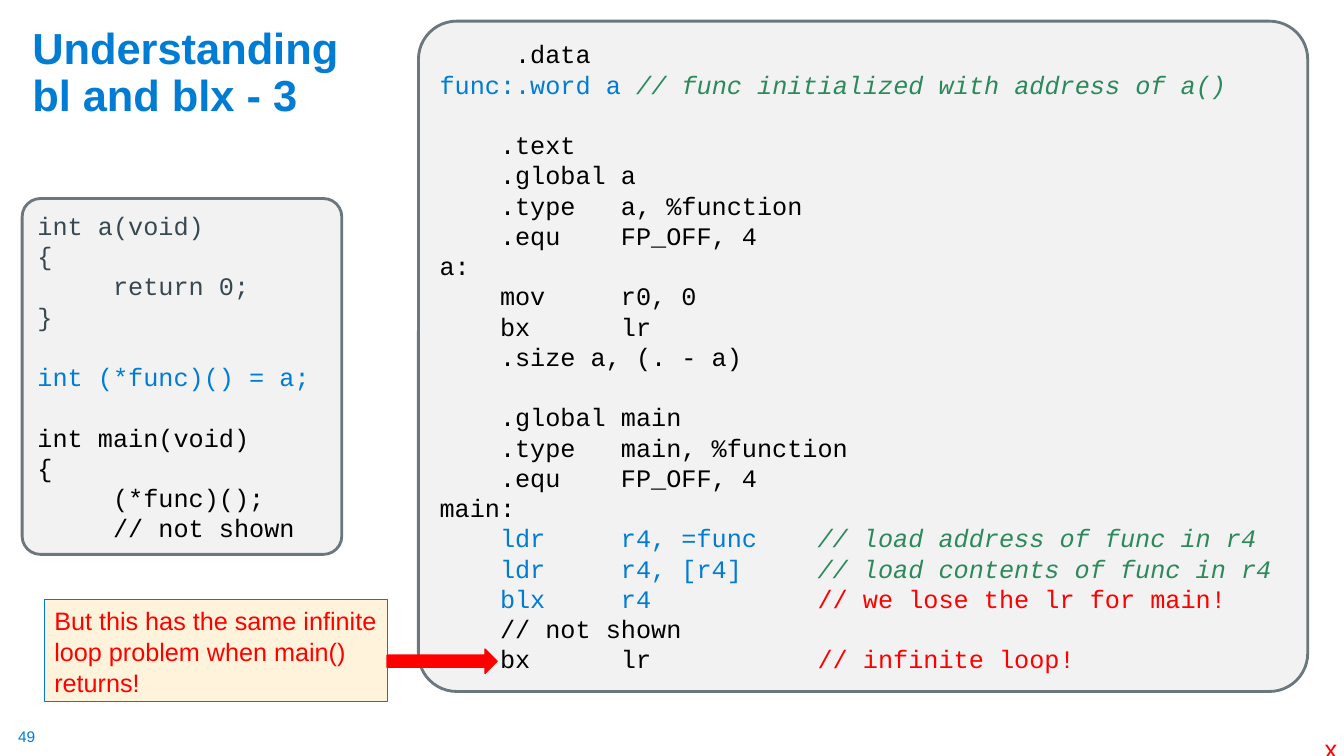
import dataclasses

import lxml.etree
import pptx
import pptx.dml.color
import pptx.enum.shapes
import pptx.enum.text
import pptx.oxml.ns
import pptx.util

Inches = pptx.util.Inches
Pt = pptx.util.Pt
SHAPE = pptx.enum.shapes.MSO_SHAPE
ANCHOR = pptx.enum.text.MSO_ANCHOR
ALIGN = pptx.enum.text.PP_ALIGN


@dataclasses.dataclass(frozen=True)
class Theme:
    blue: str = "007CD5"
    slate: str = "384851"
    black: str = "000000"
    green: str = "2C895B"
    red: str = "FF0000"
    panel: str = "F2F2F2"
    border: str = "6B767D"
    cream: str = "FFF4DB"
    sans: str = "Arial"
    mono: str = "Courier New"
    title_size: float = 31
    body_size: float = 18
    number_size: float = 11
    title_leading: float = 33.6
    code_leading: float = 21.6
    callout_leading: float = 22.1


THEME = Theme()

# Code lines are lists of (text, colour); None leaves a one-line gap
C_TABS = (0.75,)
C_CODE = [
    [("int a(void)", THEME.slate)],
    [("{", THEME.slate)],
    [("\treturn 0;", THEME.slate)],
    [("}", THEME.slate)],
    None,
    [("int (*func)() = a;", THEME.blue)],
    None,
    [("int main(void)", THEME.black)],
    [("{", THEME.black)],
    [("\t(*func)();", THEME.black)],
    [("\t// not shown", THEME.black)],
]

ASM_TABS = (0.6, 1.8, 3.75)
ASM_CODE = [
    [("\t.data", THEME.black)],
    [("func:.word a ", THEME.blue),
     ("// func initialized with address of a()", THEME.green)],
    None,
    [("\t.text", THEME.black)],
    [("\t.global a", THEME.black)],
    [("\t.type\ta, %function", THEME.black)],
    [("\t.equ\tFP_OFF, 4", THEME.black)],
    [("a:", THEME.black)],
    [("\tmov\tr0, 0", THEME.black)],
    [("\tbx\tlr", THEME.black)],
    [("\t.size a, (. - a)", THEME.black)],
    None,
    [("\t.global main", THEME.black)],
    [("\t.type\tmain, %function", THEME.black)],
    [("\t.equ\tFP_OFF, 4", THEME.black)],
    [("main:", THEME.black)],
    [("\tldr\tr4, =func\t", THEME.blue),
     ("// load address of func in r4", THEME.green)],
    [("\tldr\tr4, [r4]\t", THEME.blue),
     ("// load contents of func in r4", THEME.green)],
    [("\tblx\tr4\t", THEME.blue),
     ("// we lose the lr for main!", THEME.red)],
    [("\t// not shown", THEME.black)],
    [("\tbx\tlr\t", THEME.black), ("// infinite loop!", THEME.red)],
]


def apply(obj, values):
    for name, value in values.items():
        setattr(obj, name, value)


def rgb(color):
    return pptx.dml.color.RGBColor.from_string(color)


def place(sp, box):
    names = ("left", "top", "width", "height")
    apply(sp, {name: Inches(v) for name, v in zip(names, box)})


def add_run(p, text, color, **font):
    r = p.add_run()
    r.text = text
    values = {"size": Pt(THEME.body_size), "name": THEME.sans, "bold": False, "italic": False}
    apply(r.font, {**values, **font})
    r.font.color.rgb = rgb(color)


def set_tabs(p, stops):
    pPr = p._p.get_or_add_pPr()
    tabs = lxml.etree.SubElement(pPr, pptx.oxml.ns.qn("a:tabLst"))
    for stop in stops:
        tab = lxml.etree.SubElement(tabs, pptx.oxml.ns.qn("a:tab"))
        tab.set("pos", str(Inches(stop)))
        tab.set("algn", "l")


def add_box(s, kind, box, fill, line, width):
    sp = s.shapes.add_shape(kind, *map(Inches, box))
    sp.shadow.inherit = False
    sp.fill.solid()
    sp.fill.fore_color.rgb = rgb(fill)
    sp.line.color.rgb = rgb(line)
    sp.line.width = Pt(width)
    apply(sp.text_frame, {"word_wrap": True, "vertical_anchor": ANCHOR.MIDDLE})
    return sp


def add_code_panel(s, box, lines, tabs, first_tabs=None):
    sp = add_box(s, SHAPE.ROUNDED_RECTANGLE, box, THEME.panel, THEME.border, 2)
    sp.adjustments[0] = 0.057
    tf = sp.text_frame
    leading = Pt(THEME.code_leading)
    gap = 0
    for i, line in enumerate(lines):
        if line is None:
            gap = leading
            continue
        p = tf.add_paragraph() if i else tf.paragraphs[0]
        apply(p, {"alignment": ALIGN.LEFT, "line_spacing": leading, "space_before": gap})
        set_tabs(p, first_tabs if first_tabs and i == 0 else tabs)
        for text, color in line:
            add_run(p, text, color, name=THEME.mono, italic=color == THEME.green)
        gap = 0


def add_callout(s, box, text):
    sp = add_box(s, SHAPE.RECTANGLE, box, THEME.cream, THEME.blue, 0.75)
    tf = sp.text_frame
    tf.margin_right = Inches(0.05)
    p = tf.paragraphs[0]
    apply(p, {"alignment": ALIGN.LEFT, "line_spacing": Pt(THEME.callout_leading)})
    add_run(p, text, THEME.red)


def add_label(s, box, text, color, size, margin):
    tf = s.shapes.add_textbox(*map(Inches, box)).text_frame
    sides = ("margin_left", "margin_right", "margin_top", "margin_bottom")
    apply(tf, {"word_wrap": False, **{side: Inches(margin) for side in sides}})
    add_run(tf.paragraphs[0], text, color, size=Pt(size))


def set_title(s, box, text):
    sp = s.shapes.title
    place(sp, box)
    tf = sp.text_frame
    apply(tf, {"word_wrap": True, "vertical_anchor": ANCHOR.BOTTOM,
               "auto_size": pptx.enum.text.MSO_AUTO_SIZE.NONE})
    p = tf.paragraphs[0]
    apply(p, {"alignment": ALIGN.LEFT, "line_spacing": Pt(THEME.title_leading)})
    add_run(p, text, THEME.blue, size=Pt(THEME.title_size), bold=True)


def main():
    prs = pptx.Presentation()
    apply(prs, {"slide_width": Inches(13.33), "slide_height": Inches(7.5)})
    s = prs.slides.add_slide(prs.slide_layouts[5])

    # Title and slide number
    set_title(s, (0.22, 0.46, 3.39, 0.78), "Understanding bl and blx - 3")
    add_label(s, (0.18, 7.21, 0.19, 0.19), "49", THEME.blue, THEME.number_size, 0)

    # C source and its assembly
    add_code_panel(s, (0.22, 1.97, 3.17, 3.53), C_CODE, C_TABS)
    add_code_panel(s, (4.15, 0.21, 8.82, 6.65), ASM_CODE, ASM_TABS, first_tabs=(0.75,))

    # Warning with an arrow to the return instruction
    add_callout(s, (0.44, 5.95, 3.4, 1.01),
                "But this has the same infinite loop problem when main() returns!")
    add_box(s, SHAPE.RIGHT_ARROW, (3.84, 6.44, 1.09, 0.24), THEME.red, THEME.red, 1)

    # Corner mark
    add_label(s, (13.04, 7.18, 0.33, 0.4), "x", THEME.red, THEME.body_size, 0.1)

    prs.save("out.pptx")


if __name__ == "__main__":
    main()
